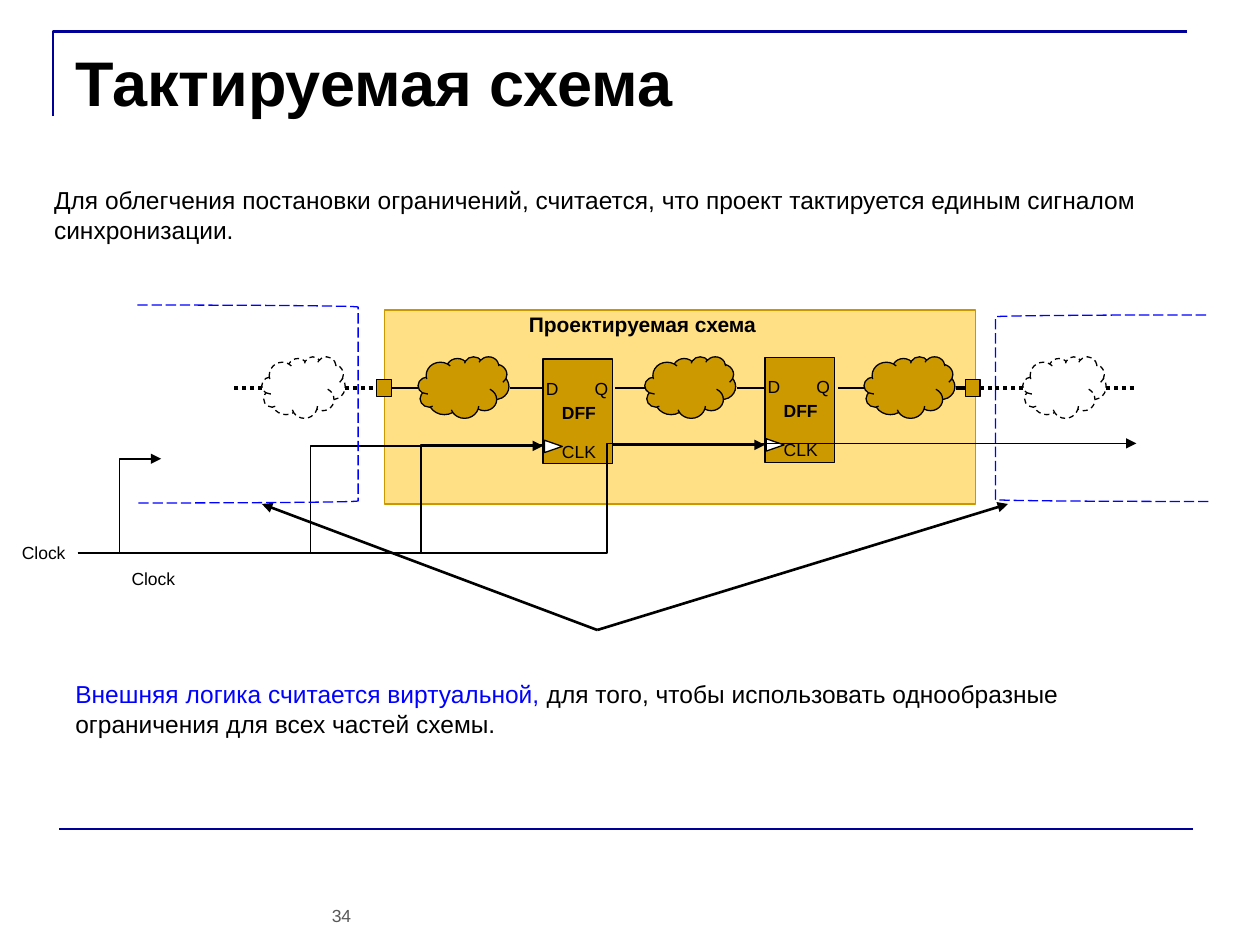
from lxml.etree import SubElement
from pptx import Presentation
from pptx.dml.color import RGBColor
from pptx.enum.dml import MSO_LINE as DASH
from pptx.enum.shapes import MSO_CONNECTOR as LINK, MSO_SHAPE as SHAPE
from pptx.enum.text import MSO_ANCHOR as ANCHOR, PP_ALIGN as ALIGN
from pptx.oxml.ns import qn
from pptx.util import Cm, Pt

COLORS = {
    "black": "000000", "white": "FFFFFF", "navy": "000099", "blue": "0000FF",
    "gold": "CC9900", "panel": "FFE085", "panel_edge": "CC9800", "gray": "595959",
}
CLOUD_HEIGHT = 1.24
WIRE_DROP = 0.63  # from the top of a cloud to the wire through it
LABEL_HEIGHT = 0.69


def rgb(name):
    return RGBColor.from_string(COLORS[name])


def style_line(line, color="black", width=0.75, dash=None):
    line.color.rgb = rgb(color)
    line.width = Pt(width)
    if dash:
        line.dash_style = dash


def block(slide, kind, box, fill=None, edge="black", dash=None):
    shape = slide.shapes.add_shape(kind, *map(Cm, box))
    shape.shadow.inherit = False
    if fill:
        shape.fill.solid()
        shape.fill.fore_color.rgb = rgb(fill)
    else:
        shape.fill.background()
    if edge:
        style_line(shape.line, edge, dash=dash)
    else:
        shape.line.fill.background()
    return shape


def link(slide, start, end, width=1, dash=None, kind=LINK.STRAIGHT, arrow=False, color="black"):
    connector = slide.shapes.add_connector(kind, *map(Cm, (*start, *end)))
    style_line(connector.line, color, width, dash)
    properties = connector._element.spPr
    if arrow:
        SubElement(properties.find(qn("a:ln")), qn("a:tailEnd"), type="triangle")
    SubElement(properties, qn("a:effectLst"))
    return connector


def write(shape, parts, size, bold=False, align=ALIGN.LEFT, anchor=ANCHOR.TOP):
    """Fill the shape with one paragraph made of (text, color) parts."""
    frame = shape.text_frame
    frame.word_wrap = True
    frame.vertical_anchor = anchor
    paragraph = frame.paragraphs[0]
    paragraph.alignment = align
    for text, color in parts:
        run = paragraph.add_run()
        run.text = text
        run.font.name = "Arial"
        run.font.size = Pt(size)
        run.font.bold = bold
        run.font.color.rgb = rgb(color)


def label(slide, text, box, size=10, bold=False, align=ALIGN.LEFT, color="black", inset=0.25):
    caption = slide.shapes.add_textbox(*map(Cm, box))
    caption.text_frame.margin_left = caption.text_frame.margin_right = Cm(inset)
    write(caption, [(text, color)], size, bold, align)


def page_frame(slide, box):
    left, top, width, height = box
    builder = slide.shapes.build_freeform(Cm(left), Cm(top + 1.7))
    builder.add_line_segments([(Cm(left), Cm(top)), (Cm(left + width), Cm(top))], close=False)
    corner = builder.convert_to_shape()
    corner.shadow.inherit = False
    corner.fill.background()
    style_line(corner.line, "navy", 1.5)
    foot = top + height
    link(slide, (left + 0.12, foot), (left + 0.12 + width, foot), 1.5, color="navy")
    label(slide, "34", (left + 5.28, foot + 1.4, 1.07, LABEL_HEIGHT),
          align=ALIGN.CENTER, color="gray")


def statement(slide, box, parts, anchor=ANCHOR.TOP):
    write(block(slide, SHAPE.RECTANGLE, box, "white", None), parts, 14, anchor=anchor)


def design_panel(slide, box):
    left, top, width, _ = box
    panel = block(slide, SHAPE.ROUNDED_RECTANGLE, box, "panel", "panel_edge")
    panel.adjustments[0] = 0
    label(slide, "Проектируемая схема", (left + 2.66, top - 0.1, 5.79, 0.76), 12, True)


def flip_flop(slide, box):
    left, top, _, _ = box
    block(slide, SHAPE.RECTANGLE, box, "gold")
    clock_mark = block(slide, SHAPE.ISOSCELES_TRIANGLE,
                       (left + 0.08, top + 1.58, 0.25, 0.36), "white")
    clock_mark.rotation = 90
    label(slide, "D", (left, top + 0.25, 0.36, LABEL_HEIGHT), align=ALIGN.CENTER, inset=0)
    label(slide, "Q", (left + 0.79, top + 0.25, 0.66, LABEL_HEIGHT))
    label(slide, "CLK", (left + 0.13, top + 1.52, 1.37, LABEL_HEIGHT))
    label(slide, "DFF", (left + 0.13, top + 0.73, 1.6, LABEL_HEIGHT), bold=True)


def design_stages(slide, box):
    """Place clouds, flip-flops, ports and their wires; return both ports."""
    left, top, _, _ = box
    cloud_top = top + 0.94
    wire_y = cloud_top + WIRE_DROP
    for x in (0.68, 5.25, 9.67):
        block(slide, SHAPE.CLOUD, (left + x, cloud_top, 1.83, CLOUD_HEIGHT), "gold")
    for x, y in ((3.2, 0.99), (7.67, 0.96)):
        flip_flop(slide, (left + x, top + y, 1.4, 2.11))
    ports = [block(slide, SHAPE.RECTANGLE, (left + x, wire_y - 0.17, 0.3, 0.34), "gold")
             for x in (-0.16, 11.71)]
    for start, end in ((2.54, 3.2), (4.65, 5.25), (7.11, 7.67), (9.14, 9.67)):
        link(slide, (left + start, wire_y), (left + end, wire_y))
    entry = link(slide, (left + 0.14, wire_y), (left + 0.68, wire_y))
    entry.begin_connect(ports[0], 3)
    leaving = link(slide, (left + 11.53, wire_y), (left + 11.71, wire_y), 2.25)
    leaving.end_connect(ports[1], 1)
    return ports


def external_logic(slide, box, bracket_kind, cloud_at, outer_gap, port, port_site):
    """Bracket with a dashed cloud, wired to the port and to the outside."""
    left, top, _, _ = box
    bracket = block(slide, bracket_kind, box, None, "blue", DASH.LONG_DASH)
    bracket.adjustments[0] = 0.01
    x, y, width = left + cloud_at[0], top + cloud_at[1], 1.68
    block(slide, SHAPE.CLOUD, (x, y, width, CLOUD_HEIGHT), dash=DASH.DASH)
    wire_y = y + WIRE_DROP
    sides = (x, x + width)
    outer, inner = sides if port_site == 1 else sides[::-1]
    link(slide, (outer, wire_y), (outer + outer_gap, wire_y), 2.25, DASH.ROUND_DOT)
    inner_wire = link(slide, (inner, wire_y), (inner, wire_y), 2.25, DASH.ROUND_DOT)
    inner_wire.end_connect(port, port_site)


def clock_branches(slide, source, targets):
    for target in targets:
        link(slide, source, target, kind=LINK.ELBOW, arrow=True)


def virtual_logic_arrows(slide, box):
    left, top, width, height = box
    for tip in (left, left + width):
        link(slide, (left + 6.76, top + height), (tip, top), 1.5, arrow=True)


def main():
    deck = Presentation()
    deck.slide_width, deck.slide_height = Cm(25.4), Cm(19.05)
    slide = deck.slides.add_slide(deck.slide_layouts[6])

    page_frame(slide, (1.07, 0.64, 22.86, 16.07))
    label(slide, "Тактируемая схема", (1.27, 0.76, 22.86, 3.18), 36, True)
    statement(slide, (0.84, 3.61, 22.43, 1.78), [
        ("Для облегчения постановки ограничений, считается, что проект тактируется "
         "единым сигналом синхронизации.", "black")])
    statement(slide, (1.27, 12.7, 21.51, 3.18), [
        ("Внешняя логика считается виртуальной, ", "blue"),
        ("для того, чтобы использовать однообразные ограничения для всех частей схемы.",
         "black")], ANCHOR.MIDDLE)
    virtual_logic_arrows(slide, (5.28, 10.16, 15.04, 2.54))

    design = (7.75, 6.25, 11.91, 3.91)
    clock = (1.57, 11.15)
    design_panel(slide, design)
    clock_branches(slide, clock, [(10.95, 8.99), (3.25, 9.25), (15.42, 8.97)])
    entry_port, exit_port = design_stages(slide, design)
    external_logic(slide, (2.77, 6.15, 4.45, 3.99), SHAPE.RIGHT_BRACKET,
                   (2.51, 1.04), -0.61, entry_port, 1)
    # A left bracket is the mirror of the right one.
    external_logic(slide, (20.07, 6.35, 4.29, 3.76), SHAPE.LEFT_BRACKET,
                   (0.55, 0.84), 0.61, exit_port, 3)
    clock_branches(slide, clock, [(22.91, 8.94)])
    for left, top in ((2.24, 11.33), (0.03, 10.8)):
        label(slide, "Clock", (left, top, 1.54, LABEL_HEIGHT), align=ALIGN.RIGHT)
    deck.save("out.pptx")


if __name__ == "__main__":
    main()
